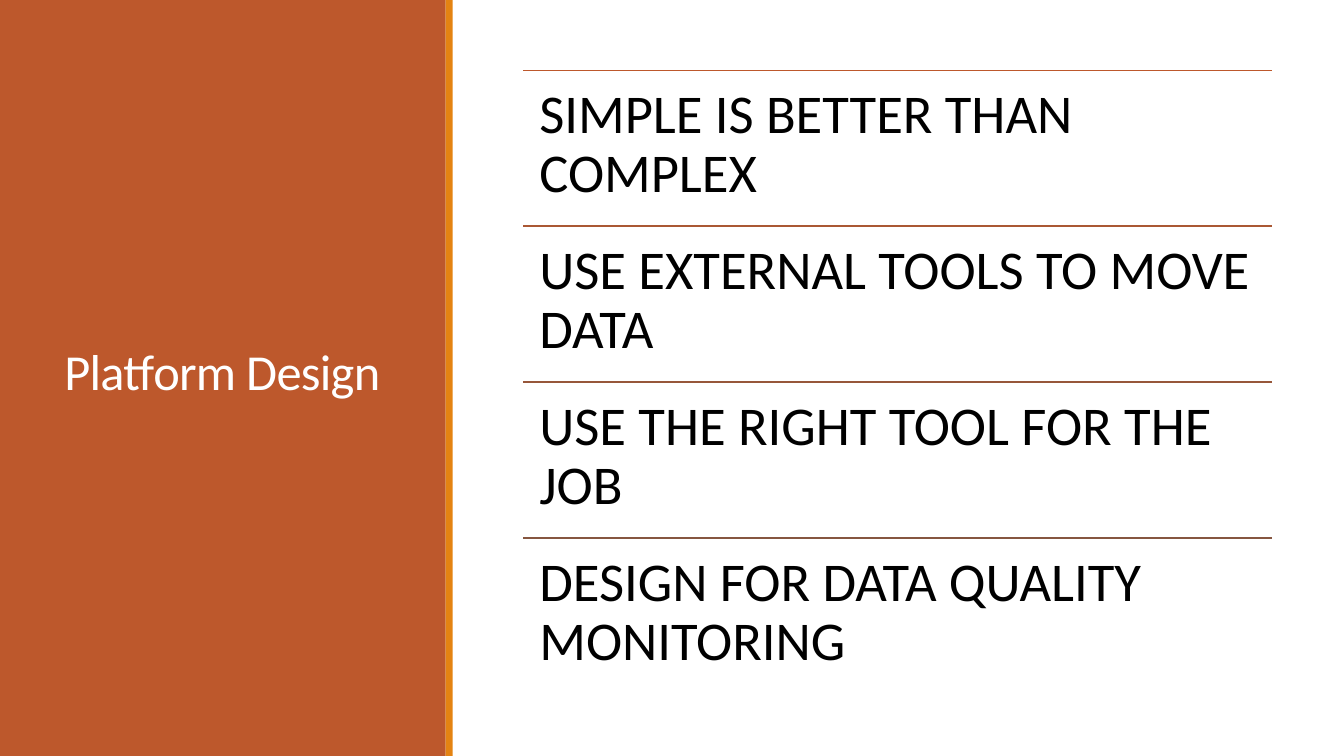
import dataclasses

import pptx
import pptx.dml.color
import pptx.enum.shapes
import pptx.enum.text
import pptx.util
from lxml import etree

Inches = pptx.util.Inches
Pt = pptx.util.Pt


@dataclasses.dataclass(frozen=True)
class Theme:
    font: str = "Calibri"
    panel: str = "BD582C"
    accent: str = "E48312"
    title_color: str = "FFFFFF"
    body_color: str = "000000"
    rules: tuple = ("BD582C", "AA5834", "97573A", "865640")
    title_size: float = 36
    body_size: float = 39
    rule_width: float = 1.25


THEME = Theme()
PRINCIPLES = (
    "SIMPLE IS BETTER THAN COMPLEX",
    "USE EXTERNAL TOOLS TO MOVE DATA",
    "USE THE RIGHT TOOL FOR THE JOB",
    "DESIGN FOR DATA QUALITY MONITORING",
)


def rgb(color):
    return pptx.dml.color.RGBColor.from_string(color)


def add_band(page, left, top, width, height, color):
    band = page.shapes.add_shape(
        pptx.enum.shapes.MSO_SHAPE.RECTANGLE,
        Inches(left), Inches(top), Inches(width), Inches(height))
    band.shadow.inherit = False
    band.fill.solid()
    band.fill.fore_color.rgb = rgb(color)
    band.line.fill.background()


def add_text(page, left, top, width, height, text, size, color,
             spacing, insets, anchor):
    box = page.shapes.add_textbox(
        Inches(left), Inches(top), Inches(width), Inches(height))
    frame = box.text_frame
    frame.word_wrap = True
    frame.vertical_anchor = anchor
    frame.margin_left = frame.margin_right = Inches(insets[0])
    frame.margin_top = frame.margin_bottom = Inches(insets[1])
    para = frame.paragraphs[0]
    para.line_spacing = spacing
    span = para.add_run()
    span.text = text
    span.font.name = THEME.font
    span.font.size = Pt(size)
    span.font.color.rgb = rgb(color)
    return span


def add_rule(page, left, top, width, color):
    rule = page.shapes.add_connector(
        pptx.enum.shapes.MSO_CONNECTOR.STRAIGHT,
        Inches(left), Inches(top), Inches(left + width), Inches(top))
    rule.line.color.rgb = rgb(color)
    rule.line.width = Pt(THEME.rule_width)
    etree.SubElement(rule._element.spPr, pptx.oxml.ns.qn("a:effectLst"))


def add_title_panel(page, left, top, width, height):
    # Coloured panel with a thin accent edge
    edge = 0.07
    add_band(page, left, top, width - edge, height, THEME.panel)
    add_band(page, left + width - edge, top, edge, height, THEME.accent)

    # Title, slightly tightened
    span = add_text(
        page, left + 0.54, top + 0.57, 3.37, 6.31, "Platform Design",
        THEME.title_size, THEME.title_color, 0.85, (0.1, 0.05),
        pptx.enum.text.MSO_ANCHOR.MIDDLE)
    span._r.get_or_add_rPr().set("spc", "-50")


def add_principles(page, left, top, width, height):
    # Equal rows, each opened by a rule
    row_height = height / len(PRINCIPLES)
    for index, (text, color) in enumerate(zip(PRINCIPLES, THEME.rules)):
        row_top = top + index * row_height
        add_rule(page, left, row_top, width, color)
        add_text(page, left, row_top, width, row_height, text,
                 THEME.body_size, THEME.body_color, 0.9, (0.16, 0.16),
                 pptx.enum.text.MSO_ANCHOR.TOP)


def main():
    deck = pptx.Presentation()
    deck.slide_width = Inches(13.33)
    deck.slide_height = Inches(7.5)
    page = deck.slides.add_slide(deck.slide_layouts[6])
    add_title_panel(page, 0, 0, 4.49, 7.5)
    add_principles(page, 5.19, 0.7, 7.43, 6.18)
    deck.save("out.pptx")


if __name__ == "__main__":
    main()
